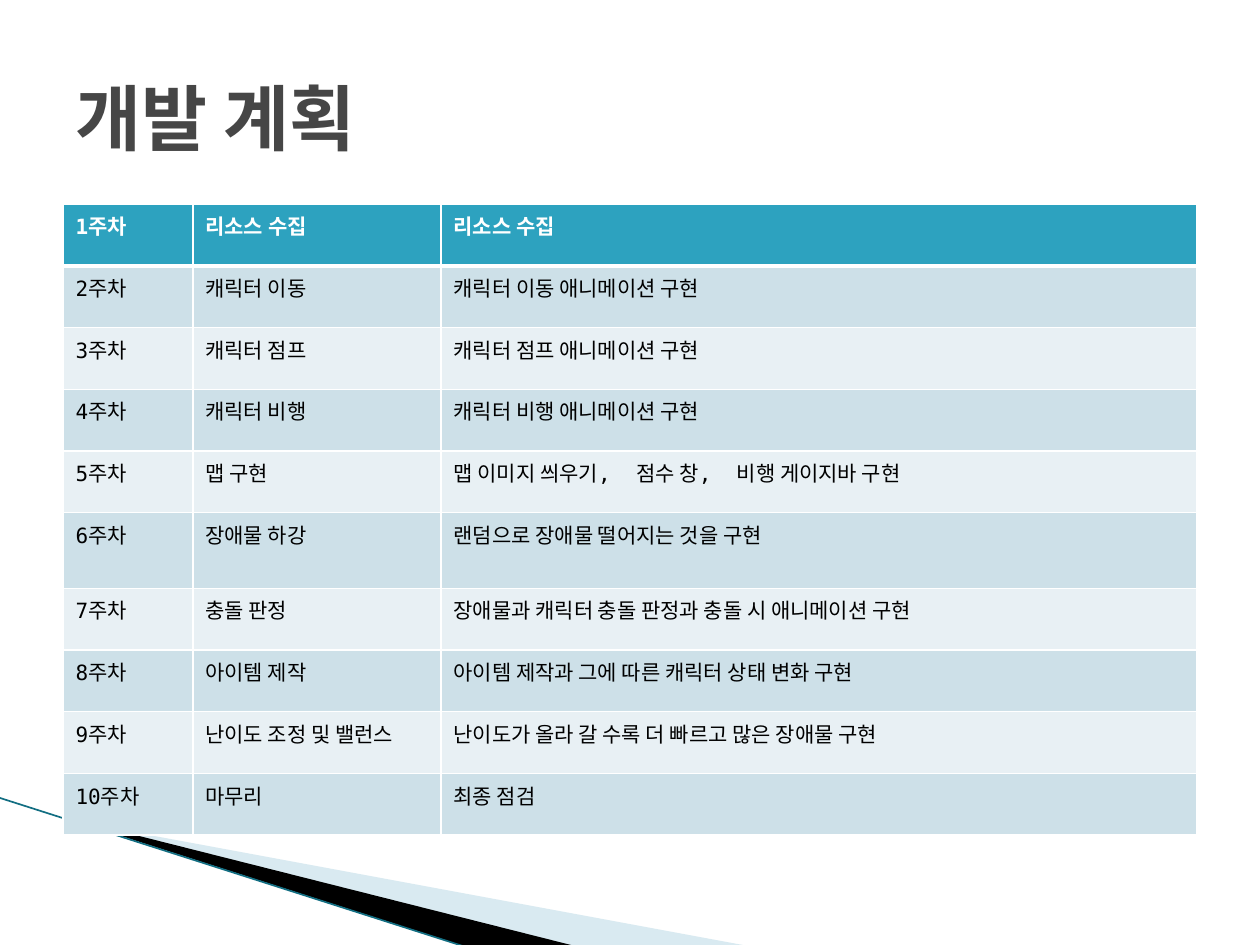
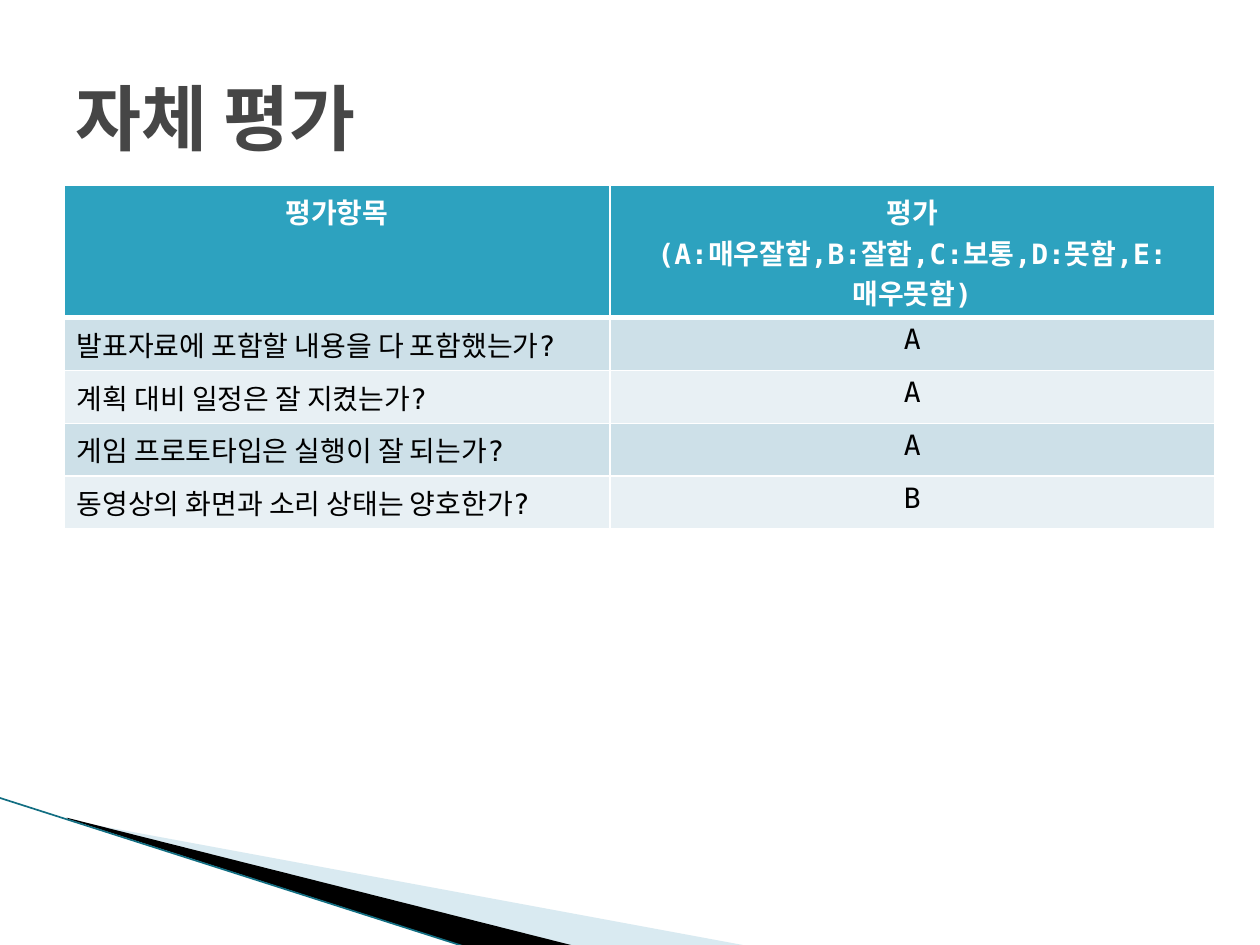
import lxml.etree
import pptx
import pptx.dml.color
import pptx.enum.text
import pptx.oxml.ns
import pptx.util

RGBColor = pptx.dml.color.RGBColor
ALIGN = pptx.enum.text.PP_ALIGN
qn = pptx.oxml.ns.qn

WHITE = RGBColor(0xFF, 0xFF, 0xFF)
BLACK = RGBColor(0x00, 0x00, 0x00)
TITLE_GRAY = RGBColor(0x46, 0x46, 0x46)
HEADER_TEAL = RGBColor(0x2D, 0xA2, 0xBF)
BAND_DARK = RGBColor(0xCD, 0xE0, 0xE8)
BAND_LIGHT = RGBColor(0xE8, 0xF0, 0xF4)
SWOOSH_BLUE = RGBColor(0xA0, 0xCB, 0xDC)
EDGE_TEAL = RGBColor(0x12, 0x6E, 0x82)

FONT = "DejaVu Sans Mono"
GRID_COLUMNS, GRID_ROWS = 1000, 750
SLIDE_WIDTH, SLIDE_HEIGHT = pptx.util.Inches(10), pptx.util.Inches(7.5)
UNIT = SLIDE_WIDTH // GRID_COLUMNS

TITLE_BOX = (50, 30, 900, 125)
SWOOSH_BOX = (0, 633, 595, 119)
PLAN_BOX = (50, 162, 900, 499)
REVIEW_BOX = (51, 147, 913, 273)

TITLE_FORMAT = {"size": pptx.util.Pt(41), "bold": True}
PLAN_SIZE, REVIEW_SIZE = pptx.util.Pt(12), pptx.util.Pt(16)

PLAN = [
    ("리소스 수집", "리소스 수집"),
    ("캐릭터 이동", "캐릭터 이동 애니메이션 구현"),
    ("캐릭터 점프", "캐릭터 점프 애니메이션 구현"),
    ("캐릭터 비행", "캐릭터 비행 애니메이션 구현"),
    ("맵 구현", "맵 이미지 씌우기,  점수 창,  비행 게이지바 구현"),
    ("장애물 하강", "랜덤으로 장애물 떨어지는 것을 구현"),
    ("충돌 판정", "장애물과 캐릭터 충돌 판정과 충돌 시 애니메이션 구현"),
    ("아이템 제작", "아이템 제작과 그에 따른 캐릭터 상태 변화 구현"),
    ("난이도 조정 및 밸런스", "난이도가 올라 갈 수록 더 빠르고 많은 장애물 구현"),
    ("마무리", "최종 점검"),
]
REVIEW = [
    ("평가항목", "평가\n(A:매우잘함,B:잘함,C:보통,D:못함,E:매우못함)"),
    ("발표자료에 포함할 내용을 다 포함했는가?", "A"),
    ("계획 대비 일정은 잘 지켰는가?", "A"),
    ("게임 프로토타입은 실행이 잘 되는가?", "A"),
    ("동영상의 화면과 소리 상태는 양호한가?", "B"),
]


def style_font(font, color, formats):
    """Apply the shared typeface, a colour and a dict of format values."""
    for attribute, value in {"name": FONT, **formats}.items():
        setattr(font, attribute, value)
    font.color.rgb = color


def add_title(slide, box, wording):
    """Place the slide title, centred vertically in its box."""
    title = slide.shapes.add_textbox(*(UNIT * length for length in box))
    frame = title.text_frame
    frame.word_wrap = True
    frame.vertical_anchor = pptx.enum.text.MSO_ANCHOR.MIDDLE
    frame.text = wording
    style_font(frame.paragraphs[0].runs[0].font, TITLE_GRAY, TITLE_FORMAT)


def add_blade(slide, points, color):
    """Draw one filled blade of the swoosh through grid points."""
    builder = slide.shapes.build_freeform(*points[0], scale=UNIT)
    builder.add_line_segments(points[1:])
    blade = builder.convert_to_shape()
    blade.shadow.inherit = False
    blade.fill.solid()
    blade.fill.fore_color.rgb = color
    blade.line.fill.background()
    return blade


def add_swoosh(slide, box):
    """Draw the pale blade, the black blade and the thin edge at the foot."""
    left, top, width, height = box
    right, bottom = left + width, top + height
    pale = add_blade(slide, [(left + 55, top + 18), (right, bottom - 1),
                             (right - 139, bottom - 1), (left + 55, top + 17)], SWOOSH_BLUE)
    tint = pale.fill._xPr.find(qn("a:solidFill"))[0]
    lxml.etree.SubElement(tint, qn("a:alpha"), val="40000")
    add_blade(slide, [(left + 53, top + 16), (left + 457, bottom - 1),
                      (left + 372, bottom), (left + 54, top + 17)], BLACK)
    ends = (left - 1, top, left + 371, bottom)
    edge = slide.shapes.add_connector(
        pptx.enum.shapes.MSO_CONNECTOR.STRAIGHT, *(UNIT * end for end in ends))
    edge.line.color.rgb = EDGE_TEAL
    edge.line.width = pptx.util.Pt(0.95)
    lxml.etree.SubElement(edge._element.spPr, qn("a:effectLst"))


def add_borders(cell, widths):
    """Draw white cell borders from a dict of side and points."""
    properties = cell._tc.get_or_add_tcPr()
    for side, points in widths.items():
        border = lxml.etree.SubElement(properties, qn(f"a:ln{side}"), w=str(pptx.util.Pt(points)))
        paint = lxml.etree.SubElement(border, qn("a:solidFill"))
        lxml.etree.SubElement(paint, qn("a:srgbClr"), val=str(WHITE))


def fill_cell(cell, wording, row, size, align):
    """Write and colour one table cell according to its row."""
    header = row == 0
    cell.text = wording
    for paragraph in cell.text_frame.paragraphs:
        paragraph.alignment = align
        style_font(paragraph.runs[0].font, WHITE if header else BLACK,
                   {"size": size, "bold": header})
    add_borders(cell, {"L": 1, "R": 1, "T": 3 if row == 1 else 1, "B": 3 if header else 1})
    cell.fill.solid()
    cell.fill.fore_color.rgb = HEADER_TEAL if header else (BAND_LIGHT, BAND_DARK)[row % 2]


def add_banded_table(slide, box, records, columns, rows, size, centred=()):
    """Place a table with a teal header and alternating bands."""
    table = slide.shapes.add_table(
        len(records), len(columns), *(UNIT * length for length in box)).table
    table.horz_banding = False
    for column, width in zip(table.columns, columns):
        column.width = UNIT * width
    for line, height in zip(table.rows, rows):
        line.height = UNIT * height
    for row, record in enumerate(records):
        for column, wording in enumerate(record):
            align = ALIGN.CENTER if row == 0 and centred or column in centred else ALIGN.LEFT
            fill_cell(table.cell(row, column), wording, row, size, align)


def add_base(deck, wording):
    """Add a blank slide with the shared swoosh and title."""
    slide = deck.slides.add_slide(deck.slide_layouts[6])
    add_swoosh(slide, SWOOSH_BOX)
    add_title(slide, TITLE_BOX, wording)
    return slide


def build_plan(deck):
    """Build the weekly development plan."""
    records = [(f"{week}주차", *tasks) for week, tasks in enumerate(PLAN, 1)]
    rows = [60 if week == 6 else 49 for week in range(1, len(PLAN) + 1)]
    add_banded_table(add_base(deck, "개발 계획"), PLAN_BOX, records,
                     (103, 197, 600), rows, PLAN_SIZE)


def build_review(deck):
    """Build the self-assessment."""
    rows = [105] + [42] * (len(REVIEW) - 1)
    add_banded_table(add_base(deck, "자체 평가"), REVIEW_BOX, REVIEW,
                     (433, 480), rows, REVIEW_SIZE, centred=(1,))


def main():
    """Create and save the deck."""
    deck = pptx.Presentation()
    deck.slide_width, deck.slide_height = SLIDE_WIDTH, SLIDE_HEIGHT
    build_plan(deck)
    build_review(deck)
    deck.save("out.pptx")


if __name__ == "__main__":
    main()
